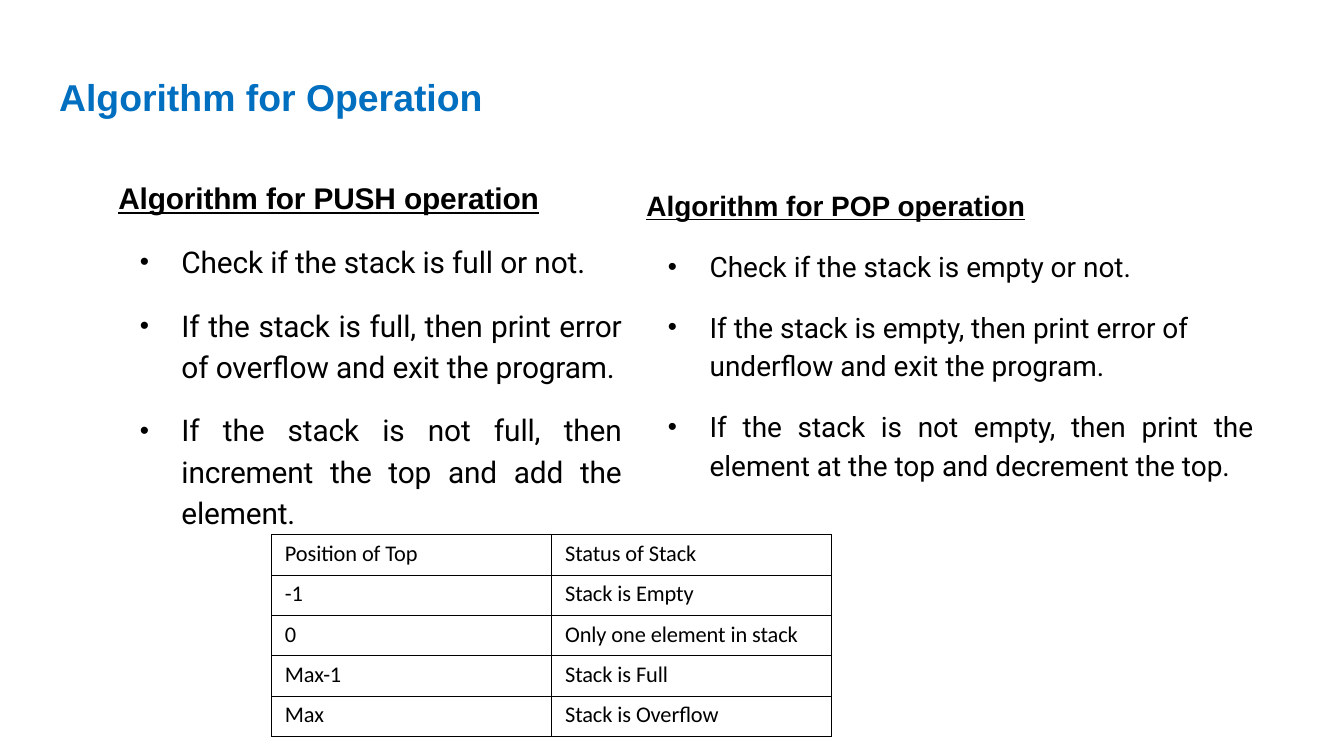
import pptx
import pptx.util
import pptx.dml.color
import pptx.enum.text
import pptx.oxml
import pptx.oxml.ns

Inches = pptx.util.Inches
Pt = pptx.util.Pt
Align = pptx.enum.text.PP_ALIGN

COLORS = {"title": "006FC0", "ink": "000000"}

PUSH = [
    ("Check if the stack is full or not.", Align.LEFT, 1, 14.9),
    ("If the stack is full, then print error of overflow and exit the program.",
     Align.JUSTIFY, 1.15, 12),
    ("If the stack is not full, then increment the top and add the element.",
     Align.JUSTIFY, 1.15, 12),
]
POP = [
    ("Check if the stack is empty or not.", Align.LEFT, 1, 14.8),
    ("If the stack is empty, then print error of underflow and exit the program.",
     Align.LEFT, 1.15, 11.9),
    ("If the stack is not empty, then print the element at the top and decrement the top.",
     Align.JUSTIFY, 1.15, 11.9),
]
ROWS = [
    ("Position of Top", "Status of Stack"),
    ("-1", "Stack is Empty"),
    ("0", "Only one element in stack"),
    ("Max-1", "Stack is Full"),
    ("Max", "Stack is Overflow"),
]


def add_xml(parent, tag, **attrs):
    node = pptx.oxml.parse_xml(
        f'<a:{tag} {pptx.oxml.ns.nsdecls("a")}/>')
    for key, value in attrs.items():
        node.set(key, str(value))
    parent.append(node)
    return node


def style(para, face, size, color="ink", bold=False, line=False, gap=0):
    for run in para.runs:
        font = run.font
        font.name, font.size = face, Pt(size)
        font.bold, font.underline = bold, line
        font.color.rgb = pptx.dml.color.RGBColor.from_string(COLORS[color])
        if gap:
            font._element.set("spc", str(gap))


def place(shape, left, top, width, height):
    shape.left, shape.top = Inches(left), Inches(top)
    shape.width, shape.height = Inches(width), Inches(height)
    frame = shape.text_frame
    frame.margin_left = frame.margin_right = frame.margin_bottom = 0
    frame.margin_top = Inches(0.02)
    frame.word_wrap = True
    frame.auto_size = pptx.enum.text.MSO_AUTO_SIZE.NONE
    frame.vertical_anchor = pptx.enum.text.MSO_ANCHOR.TOP
    return frame


def space(para, align, lines, before):
    para.alignment, para.line_spacing = align, lines
    para.space_before, para.space_after = Pt(before), Pt(0)


def indent(para, left, first):
    props = para._p.get_or_add_pPr()
    props.set("marL", str(Inches(left)))
    props.set("indent", str(Inches(first)))
    return props


def fill_title(shape):
    frame = place(shape, 0.43, 0.53, 3.18, 0.36)
    frame.text = "Algorithm for Operation"
    para = frame.paragraphs[0]
    space(para, Align.LEFT, 1, 1.1)
    indent(para, 0.01, 0)
    style(para, "Arial", 20, "title", bold=True)


def fill_list(shape, box, head, items, size, dot, gap):
    frame = place(shape, *box)
    frame.text = head
    para = frame.paragraphs[0]
    space(para, Align.LEFT, 1, 1)
    add_xml(indent(para, 0.01, 0), "buNone")
    style(para, "Arial", size, bold=True, line=True, gap=gap)
    for text, align, lines, before in items:
        para = frame.add_paragraph()
        para.text = text
        space(para, align, lines, before)
        props = indent(para, 0.48, -0.31)
        add_xml(props, "buSzPct", val=dot * 1000)
        add_xml(props, "buFont", typeface="Arial")
        add_xml(props, "buChar", char="•")
        style(para, "Roboto", size, gap=gap)


def border(cell):
    props = cell._tc.get_or_add_tcPr()
    for side in ("lnL", "lnR", "lnT", "lnB"):
        edge = add_xml(props, side, w=Pt(0.5))
        fill = add_xml(edge, "solidFill")
        add_xml(fill, "srgbClr", val=COLORS["ink"])


def fill_cell(cell, text):
    border(cell)
    cell.fill.background()
    cell.margin_left, cell.margin_top = Inches(0.1), Inches(0.04)
    cell.margin_right = cell.margin_bottom = 0
    cell.text = text
    para = cell.text_frame.paragraphs[0]
    para.space_before = Pt(3)
    style(para, "Calibri", 12, gap=-5)


def add_grid(slide):
    frame = slide.shapes.add_table(
        len(ROWS), 2, Inches(2.02), Inches(3.98), Inches(4.17), Inches(1.5))
    table = frame.table
    table.first_row = table.horz_banding = False
    for row, texts in zip(table.rows, ROWS):
        for cell, text in zip(row.cells, texts):
            fill_cell(cell, text)


def main():
    deck = pptx.Presentation()
    deck.slide_width = Inches(10)
    deck.slide_height = deck.slide_width * 9 // 16
    slide = deck.slides.add_slide(deck.slide_layouts[3])
    title, push, pop = slide.placeholders
    fill_title(title)
    add_grid(slide)
    fill_list(push, (0.87, 1.32, 3.76, 2.63),
              "Algorithm for PUSH operation", PUSH, 16, 88, -5)
    fill_list(pop, (4.8, 1.38, 4.53, 2.22),
              "Algorithm for POP operation", POP, 15, 93, 0)
    deck.save("out.pptx")


if __name__ == "__main__":
    main()
